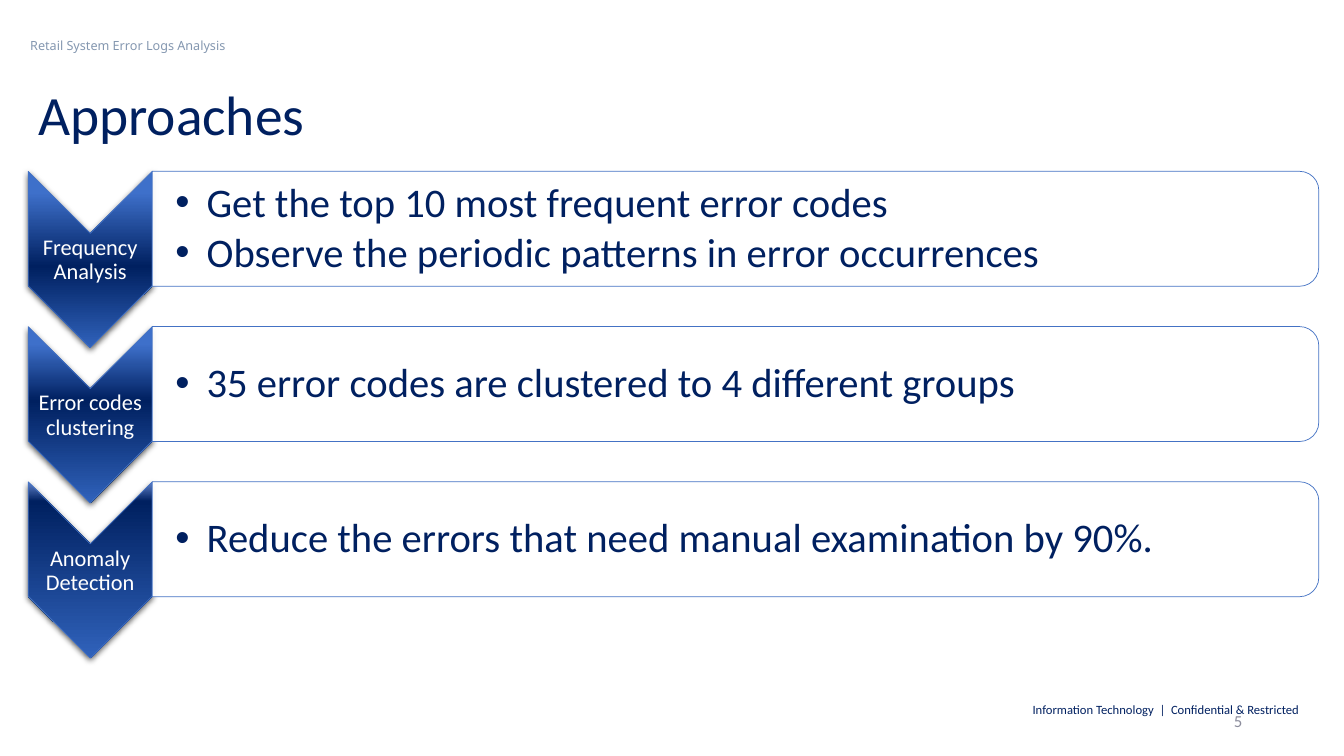
from lxml import etree
from pptx import Presentation
from pptx.dml.color import RGBColor
from pptx.enum.shapes import MSO_SHAPE
from pptx.enum.text import MSO_ANCHOR, PP_ALIGN
from pptx.oxml import parse_xml
from pptx.oxml.ns import nsdecls, qn
from pptx.util import Inches, Pt

CHEVRON = MSO_SHAPE.CHEVRON
ROUND_SIDE = MSO_SHAPE.ROUND_2_SAME_RECTANGLE
MIDDLE = MSO_ANCHOR.MIDDLE
LEFT, CENTER, RIGHT = PP_ALIGN.LEFT, PP_ALIGN.CENTER, PP_ALIGN.RIGHT

COLORS = {
    "navy": "002060",
    "outline": "4472C4",
    "white": "FFFFFF",
    "header": "8497B0",
    "number": "8C8D9D",
    "light": "3E70CA",
    "pale": "6183CB",
    "deep": "3062BB",
    "shadow": "000000",
}

APPROACHES = [
    ("Frequency Analysis",
     ["Get the top 10 most frequent error codes",
      "Observe the periodic patterns in error occurrences"],
     [(12, "light"), (54, "navy"), (100, "deep")]),
    ("Error codes clustering",
     ["35 error codes are clustered to 4 different groups"],
     [(10, "light"), (42, "navy"), (100, "deep")]),
    ("Anomaly Detection",
     ["Reduce the errors that need manual examination by 90%."],
     [(0, "pale"), (11, "navy"), (100, "deep")]),
]
ROW_STEP = 1.54


def color(name):
    """Return the named colour."""
    return RGBColor.from_string(COLORS[name])


def add_text(slide, box, lines, size, ink, insets=(0.1, 0.05, 0.1, 0.05),
             font="Calibri", bullet=False, **formats):
    """Add a middle-anchored text box with one paragraph per line."""
    shape = slide.shapes.add_textbox(*map(Inches, box))
    frame = shape.text_frame
    left, top, right, bottom = map(Inches, insets)
    frame_formats = {
        "word_wrap": True, "vertical_anchor": MIDDLE, "margin_left": left,
        "margin_top": top, "margin_right": right, "margin_bottom": bottom,
    }
    for name, value in frame_formats.items():
        setattr(frame, name, value)
    for index, line in enumerate(lines):
        paragraph = frame.add_paragraph() if index else frame.paragraphs[0]
        paragraph.text = line
        for name, value in formats.items():
            setattr(paragraph, name, value)
        if bullet:
            add_bullet(paragraph)
        run_font = paragraph.runs[0].font
        for name, value in {"name": font, "size": Pt(size)}.items():
            setattr(run_font, name, value)
        run_font.color.rgb = color(ink)


def add_bullet(paragraph):
    """Give a paragraph a hanging round bullet."""
    properties = paragraph._p.get_or_add_pPr()
    indent = Inches(0.31)
    properties.set("marL", str(indent))
    properties.set("indent", str(-indent))
    bullet_font = etree.SubElement(properties, qn("a:buFont"))
    bullet_font.set("typeface", "Arial")
    etree.SubElement(properties, qn("a:buChar")).set("char", "•")


def add_turned_shape(slide, kind, box):
    """Add an outlined shape turned a quarter clockwise to fill the box."""
    left, top, width, height = box
    shift = (width - height) / 2
    shape = slide.shapes.add_shape(
        kind, *map(Inches, (left + shift, top - shift, height, width)))
    shape.rotation = 90
    shape.shadow.inherit = False
    shape.fill.solid()
    shape.fill.fore_color.rgb = color("white")
    shape.line.color.rgb = color("outline")
    shape.line.width = Pt(0.5)
    return shape


def add_chevron(slide, box, stops):
    """Add a downward chevron with a vertical gradient and a soft shadow."""
    properties = add_turned_shape(slide, CHEVRON, box)._element.spPr
    stop_xml = "".join(
        f'<a:gs pos="{position * 1000}"><a:srgbClr val="{COLORS[name]}"/></a:gs>'
        for position, name in stops)
    gradient = parse_xml(
        f'<a:gradFill {nsdecls("a")} rotWithShape="0"><a:gsLst>{stop_xml}</a:gsLst>'
        '<a:lin ang="5400000" scaled="0"/></a:gradFill>')
    properties.replace(properties.find(qn("a:solidFill")), gradient)
    shadow = parse_xml(
        f'<a:outerShdw {nsdecls("a")} blurRad="{Pt(4.5)}" dist="{Pt(1.5)}" '
        f'dir="5400000" algn="ctr" rotWithShape="0"><a:srgbClr '
        f'val="{COLORS["shadow"]}"><a:alpha val="63000"/></a:srgbClr></a:outerShdw>')
    properties.find(qn("a:effectLst")).append(shadow)


def add_approach(slide, box, label, points, stops):
    """Add one approach: a labelled chevron and a bar of bullet points."""
    left, top, width, height = box
    chevron_width, bar_height = 1.23, 1.14
    add_chevron(slide, (left, top, chevron_width, height), stops)
    add_text(slide, (left, top + 0.62, chevron_width, 0.53), [label], 16, "white",
             insets=(0.01,) * 4, alignment=CENTER, line_spacing=0.9)
    bar_left, bar_width = left + chevron_width, width - chevron_width
    bar = add_turned_shape(slide, ROUND_SIDE, (bar_left, top, bar_width, bar_height))
    bar_color = bar._element.spPr.find(qn("a:solidFill"))[0]
    etree.SubElement(bar_color, qn("a:alpha")).set("val", "90000")
    add_text(slide, (bar_left, top + 0.06, bar_width - 0.05, 1.03), points, 29, "navy",
             insets=(0.23, 0.02, 0.02, 0.02), bullet=True, level=1,
             alignment=LEFT, line_spacing=0.9, space_after=Pt(4.35))


def add_frame_texts(slide, box):
    """Add the header, title, footer and page number within the slide box."""
    left, top, width, height = box
    right, bottom = left + width, top + height
    add_text(slide, (right - 4.43, bottom - 0.62, 3.98, 0.33),
             ["Information Technology  |  Confidential & Restricted"], 9, "navy",
             insets=(0,) * 4, alignment=RIGHT, line_spacing=0.9)
    add_text(slide, (left + 0.3, top + 0.2, 3.6, 0.4),
             ["Retail System Error Logs Analysis"], 9, "header",
             insets=(0, 0.05, 0.1, 0.05), font="Noto Sans", line_spacing=Pt(18))
    add_text(slide, (left + 0.28, top + 0.83, 12.8, 0.68), ["Approaches"],
             39.6, "navy", line_spacing=0.9)
    add_text(slide, (right - 3.91, bottom - 0.55, 3, 0.4), ["5"], 12, "number",
             alignment=RIGHT)


def main():
    """Build and save the approaches slide."""
    presentation = Presentation()
    presentation.slide_width = Inches(13.33)
    presentation.slide_height = Inches(7.5)
    slide = presentation.slides.add_slide(presentation.slide_layouts[6])
    add_frame_texts(slide, (0, 0, 13.33, 7.5))
    for index, (label, points, stops) in enumerate(APPROACHES):
        row_box = (0.28, 1.7 + index * ROW_STEP, 12.8, 1.75)
        add_approach(slide, row_box, label, points, stops)
    presentation.save("out.pptx")


if __name__ == "__main__":
    main()
